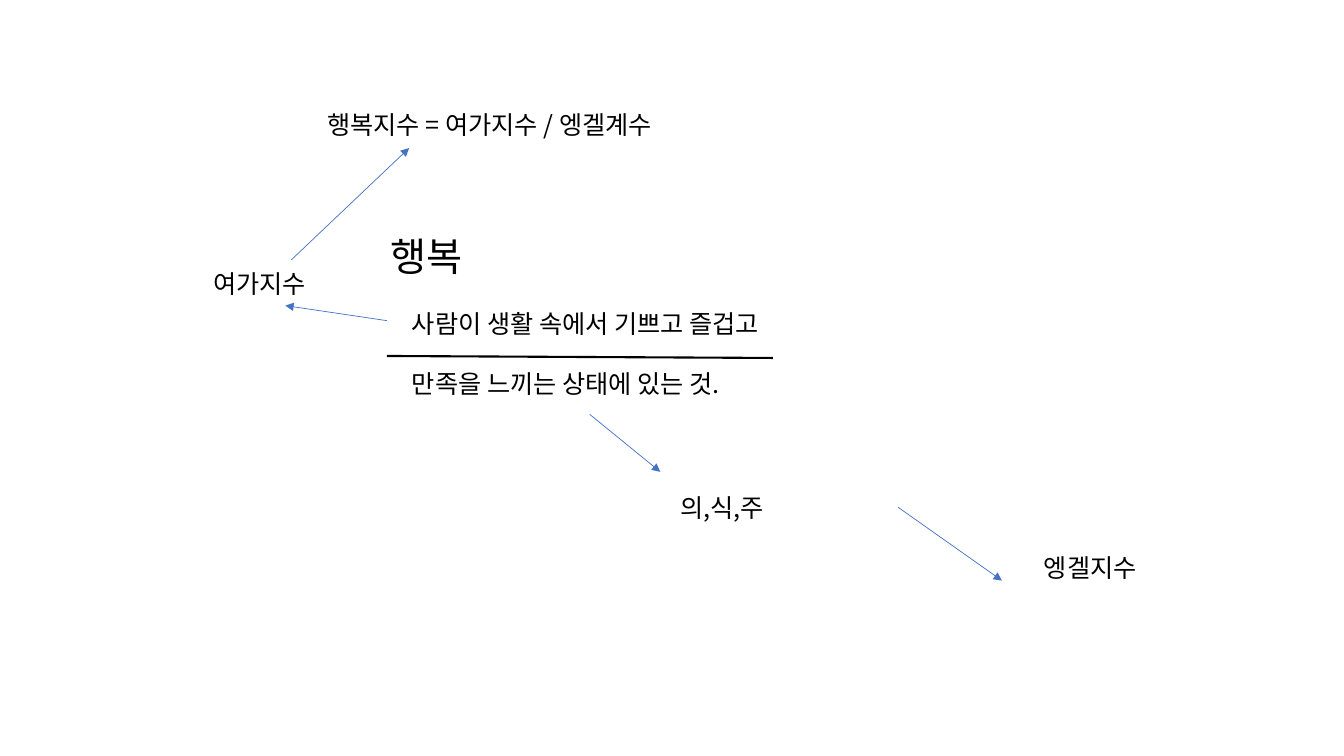
from pptx import Presentation
from pptx import util as u
from pptx.dml.color import RGBColor
from pptx.enum import shapes, text
from pptx.oxml.ns import qn
from lxml import etree


def color(value):
    return RGBColor.from_string(value)


class Board:
    font = "Noto Sans CJK KR"
    ink = "000000"
    accent = "4472C4"

    def __init__(self, slide):
        self.slide = slide

    def label(self, left, top, width, height, lines, size=18, pitch=43):
        shape = self.slide.shapes.add_textbox(
            u.Cm(left), u.Cm(top), u.Cm(width), u.Cm(height))
        frame = shape.text_frame
        frame.word_wrap = True
        frame.auto_size = text.MSO_AUTO_SIZE.NONE
        for index, line in enumerate(lines):
            paragraph = frame.add_paragraph() if index else frame.paragraphs[0]
            paragraph.line_spacing = u.Pt(pitch if index else size * 1.2)
            run = paragraph.add_run()
            run.text = line
            run.font.size = u.Pt(size)
            run.font.name = self.font
            run.font.color.rgb = color(self.ink)
            east_asian = etree.SubElement(run.font._element, qn("a:ea"))
            east_asian.set("typeface", self.font)

    def line(self, start, end, value, width):
        connector = self.slide.shapes.add_connector(
            shapes.MSO_CONNECTOR.STRAIGHT, *(u.Cm(n) for n in (*start, *end)))
        connector.line.color.rgb = color(value)
        connector.line.width = u.Pt(width)
        etree.SubElement(connector._element.spPr, qn("a:effectLst"))
        return connector

    def arrow(self, start, end):
        connector = self.line(start, end, self.accent, 0.5)
        head = etree.SubElement(connector.line._get_or_add_ln(), qn("a:tailEnd"))
        head.set("type", "triangle")


presentation = Presentation()
presentation.slide_width = u.Cm(33.87)
presentation.slide_height = u.Cm(19.05)
board = Board(presentation.slides.add_slide(presentation.slide_layouts[6]))

board.label(9.58, 5.72, 8.41, 1.45, ["행복"], size=28)
board.line((9.75, 8.97), (19.48, 9.02), board.ink, 1.5)
board.label(10.13, 7.65, 15.7, 3.25,
            ["사람이 생활 속에서 기쁘고 즐겁고", "만족을 느끼는 상태에 있는 것."])
board.label(8, 2.64, 9.98, 1.8, ["행복지수 = 여가지수 / 엥겔계수"])

for left, top, term in [
    (16.89, 12.27, "의,식,주"),
    (5.13, 6.63, "여가지수"),
    (26.06, 13.79, "엥겔지수"),
]:
    board.label(left, top, 5.72, 1.02, [term])

for start, end in [
    ((14.86, 10.44), (16.64, 11.89)),
    ((9.75, 8.08), (7.19, 7.7)),
    ((22.63, 12.78), (25.25, 14.63)),
    ((7.34, 6.55), (10.31, 3.73)),
]:
    board.arrow(start, end)

presentation.save("out.pptx")
